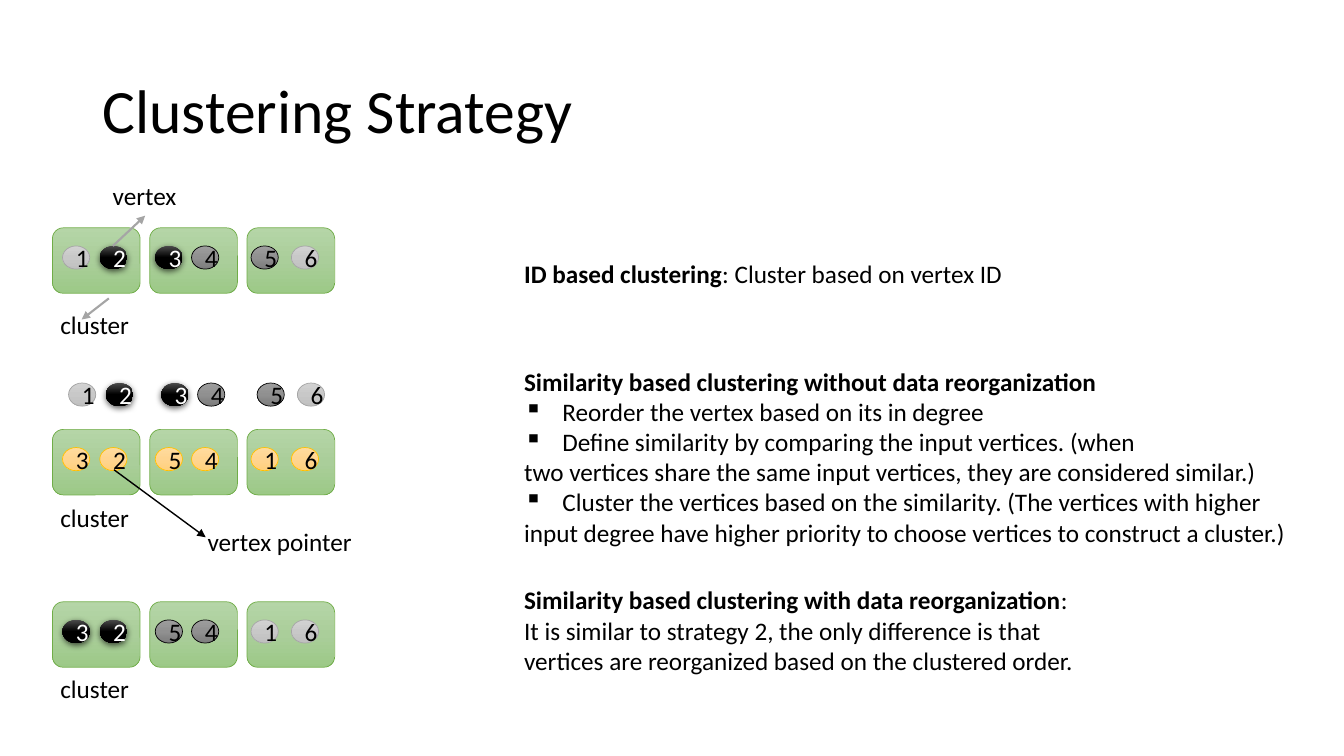
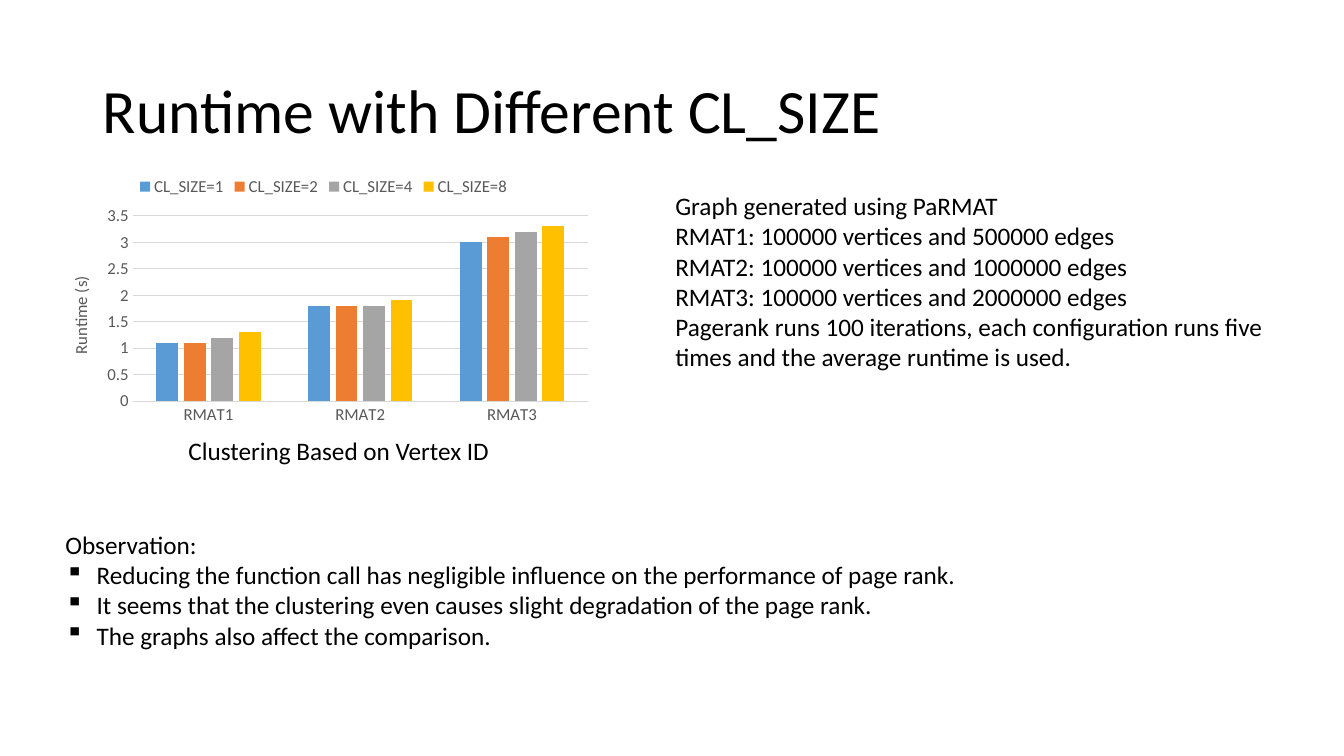
from copy import deepcopy

from lxml import etree
from pptx import Presentation
from pptx.chart.data import CategoryChartData
from pptx.dml.color import RGBColor
from pptx.enum.chart import XL_CHART_TYPE, XL_LEGEND_POSITION, XL_TICK_MARK
from pptx.enum.shapes import MSO_CONNECTOR, MSO_SHAPE
from pptx.enum.text import MSO_ANCHOR, MSO_AUTO_SIZE, PP_ALIGN
from pptx.oxml.ns import qn
from pptx.util import Inches, Pt

COLUMN_CHART = XL_CHART_TYPE.COLUMN_CLUSTERED
LEGEND_TOP = XL_LEGEND_POSITION.TOP
NO_TICK = XL_TICK_MARK.NONE
STRAIGHT = MSO_CONNECTOR.STRAIGHT
OVAL = MSO_SHAPE.OVAL
ROUNDED = MSO_SHAPE.ROUNDED_RECTANGLE
MIDDLE = MSO_ANCHOR.MIDDLE
FIT_TEXT = MSO_AUTO_SIZE.SHAPE_TO_FIT_TEXT
CENTER = PP_ALIGN.CENTER

FONT = "Calibri"
BODY_SIZE = 18
CHART_SIZE = 12
CELL = Inches(0.1)
BULLET = "▪"

COLORS = {
    "black": "000000",
    "white": "FFFFFF",
    "gray": "A5A5A5",
    "chart_text": "595959",
    "grid": "D9D9D9",
    "green": "70AD47",
    "gold": "FFC000",
    "blue": "5B9BD5",
    "orange": "ED7D31",
}
GRADIENTS = {
    "cluster": ("B5D5A7", "AACE9A", "9CC987"),
    "light": ("D2D2D2", "C8C8C8", "C0C0C0"),
    "medium": ("9D9D9D", "909090", "7C7C7C"),
    "dark": ("4B4B4B", "000000", "000000"),
    "pointer": ("FFDB9E", "FFD590", "FFD07C"),
}
OUTLINES = {"cluster": "green", "light": "gray", "medium": "black", "dark": None, "pointer": "gold"}
VERTEX_STYLES = {"1": "light", "2": "dark", "3": "dark", "4": "medium", "5": "medium", "6": "light"}

CLUSTER_COLUMNS = [5.2 + 9.65 * index for index in range(3)]
VERTEX_COLUMNS = (6.2, 9.9, 15.4, 19, 24.9, 28.9)
TEXT_COLUMN = 51


def color(name):
    """Return the named colour."""
    return RGBColor.from_string(COLORS[name])


def grid(*cells):
    """Turn grid columns and rows into slide lengths."""
    return [int(cell * CELL) for cell in cells]


def set_font(font, size=BODY_SIZE, color_name="black"):
    """Apply the shared typeface with a size and colour."""
    font.name = FONT
    font.size = Pt(size)
    font.color.rgb = color(color_name)


def add_bullet(paragraph, indent):
    """Give a paragraph a square bullet with a hanging indent."""
    properties = paragraph._p.get_or_add_pPr()
    properties.set("marL", str(Inches(indent)))
    properties.set("indent", str(-Inches(indent)))
    etree.SubElement(properties, qn("a:buChar"), char=BULLET)


def add_text(slide, box, lines, indent=0.38):
    """Add lines of text; a pair is bold then plain, and a leading square is a bullet."""
    frame = slide.shapes.add_textbox(*grid(*box)).text_frame
    frame.word_wrap = False
    frame.auto_size = FIT_TEXT
    for index, line in enumerate(lines):
        paragraph = frame.paragraphs[0] if index == 0 else frame.add_paragraph()
        bold, plain = line if isinstance(line, tuple) else ("", line)
        if plain.startswith(BULLET):
            add_bullet(paragraph, indent)
            plain = plain.removeprefix(BULLET)
        set_font(paragraph.font)
        if bold:
            run = paragraph.add_run()
            run.text = bold
            run.font.bold = True
        if plain:
            paragraph.add_run().text = plain


def add_title_slide(presentation, title):
    """Add a blank slide with the shared title style."""
    slide = presentation.slides.add_slide(presentation.slide_layouts[6])
    frame = slide.shapes.add_textbox(*grid(9.2, 4, 115, 14.5)).text_frame
    frame.word_wrap = True
    frame.vertical_anchor = MIDDLE
    paragraph = frame.paragraphs[0]
    paragraph.text = title
    paragraph.line_spacing = 0.9
    set_font(paragraph.font, 44)
    return slide


def add_shadow(shape):
    """Add a soft shadow below a shape."""
    effects = shape._element.spPr.find(qn("a:effectLst"))
    shadow = etree.SubElement(
        effects, qn("a:outerShdw"), blurRad=str(Pt(4.5)), dist=str(Pt(1.5)),
        dir="5400000", algn="ctr", rotWithShape="0")
    shade = etree.SubElement(shadow, qn("a:srgbClr"), val=COLORS["black"])
    etree.SubElement(shade, qn("a:alpha"), val="63000")


def add_gradient_shape(slide, kind, box, style):
    """Add a shape with a three-stop vertical gradient and a thin outline."""
    shape = slide.shapes.add_shape(kind, *grid(*box))
    shape.shadow.inherit = False
    shape.fill.gradient()
    shape.fill.gradient_angle = 270
    stops = shape._element.spPr.find(qn("a:gradFill")).find(qn("a:gsLst"))
    stops.insert(1, deepcopy(stops[0]))
    for index, (stop, value) in enumerate(zip(shape.fill.gradient_stops, GRADIENTS[style])):
        stop.position = index / 2
        stop.color.rgb = RGBColor.from_string(value)
    outline = OUTLINES[style]
    if outline:
        shape.line.color.rgb = color(outline)
        shape.line.width = Pt(0.5)
    else:
        shape.line.fill.background()
        add_shadow(shape)
    return shape


def add_clusters(slide, row):
    """Add a row of three cluster boxes."""
    for column in CLUSTER_COLUMNS:
        add_gradient_shape(slide, ROUNDED, (column, row, 8.7, 6.5), "cluster")


def add_vertices(slide, row, order, style=None, shift=0):
    """Add a row of numbered vertices, each in its own style unless one is given."""
    for column, number in zip(VERTEX_COLUMNS, order):
        vertex_style = style or VERTEX_STYLES[number]
        shape = add_gradient_shape(slide, OVAL, (column + shift, row, 2.7, 2.3), vertex_style)
        paragraph = shape.text_frame.paragraphs[0]
        paragraph.text = number
        paragraph.alignment = CENTER
        set_font(paragraph.font, color_name="white" if vertex_style == "dark" else "black")


def add_arrow(slide, ends, color_name, width):
    """Add a straight arrow between two grid points."""
    arrow = slide.shapes.add_connector(STRAIGHT, *grid(*ends))
    arrow.line.color.rgb = color(color_name)
    arrow.line.width = Pt(width)
    etree.SubElement(arrow.line._get_or_add_ln(), qn("a:tailEnd"), type="triangle")
    etree.SubElement(arrow._element.spPr, qn("a:effectLst"))


def add_runtime_chart(slide, box, categories, series):
    """Add the clustered column chart of runtimes."""
    data = CategoryChartData()
    data.categories = categories
    for name, _, values in series:
        data.add_series(name, values)
    chart = slide.shapes.add_chart(COLUMN_CHART, *grid(*box), data).chart
    set_font(chart.font, CHART_SIZE)
    chart.has_title = False
    chart.has_legend = True
    chart.legend.position = LEGEND_TOP
    chart.legend.include_in_layout = False
    set_font(chart.legend.font, CHART_SIZE, "chart_text")

    plot = chart.plots[0]
    plot.gap_width = 219
    plot.overlap = -27
    plot.vary_by_categories = False
    for column_series, (_, color_name, _) in zip(plot.series, series):
        column_series.format.fill.solid()
        column_series.format.fill.fore_color.rgb = color(color_name)

    for axis in (chart.category_axis, chart.value_axis):
        axis.major_tick_mark = NO_TICK
        axis.minor_tick_mark = NO_TICK
        set_font(axis.tick_labels.font, CHART_SIZE, "chart_text")
    value_axis = chart.value_axis
    value_axis.minimum_scale = 0
    value_axis.maximum_scale = 3.5
    value_axis.major_unit = 0.5
    value_axis.format.line.fill.background()
    for line in (chart.category_axis.format.line, value_axis.major_gridlines.format.line):
        line.color.rgb = color("grid")
        line.width = Pt(0.75)
    paragraph = value_axis.axis_title.text_frame.paragraphs[0]
    paragraph.text = "Runtime (s)"
    set_font(paragraph.font, CHART_SIZE, "chart_text")
    paragraph.font.bold = False


def build_strategy_slide(presentation):
    """Build the slide that compares three clustering strategies."""
    slide = add_title_slide(presentation, "Clustering Strategy")
    for row, order, style in ((22.6, "123456", None), (42.6, "325416", "pointer"), (59.7, "325416", None)):
        add_clusters(slide, row)
        add_vertices(slide, row + 1.8, order, style)
    add_vertices(slide, 38, "123456", shift=0.6)

    for row in (30.2, 49.3, 66.3):
        add_text(slide, (5, row, 8.9, 4), ["cluster"])
    add_text(slide, (10.2, 17.4, 8.4, 4), ["vertex"])
    add_text(slide, (19.6, 51.7, 16.5, 4), ["vertex pointer"])
    add_arrow(slide, (11.2, 24.4, 14.4, 21.4), "gray", 1.5)
    add_arrow(slide, (10.8, 29.6, 8.1, 31.7), "gray", 1.5)
    add_arrow(slide, (11.3, 46.6, 20.4, 53.3), "black", 1)

    add_text(slide, (TEXT_COLUMN, 25.1, 49.9, 4), [
        ("ID based clustering", ": Cluster based on vertex ID"),
    ])
    add_text(slide, (TEXT_COLUMN, 35.8, 78.4, 19.2), [
        ("Similarity based clustering without data reorganization", ""),
        "▪Reorder the vertex based on its in degree",
        "▪Define similarity by comparing the input vertices. (when",
        "two vertices share the same input vertices, they are considered similar.)",
        "▪Cluster the vertices based on the similarity. (The vertices with higher",
        "input degree have higher priority to choose vertices to construct a cluster.)",
    ])
    add_text(slide, (TEXT_COLUMN, 57.5, 57.7, 10.1), [
        ("Similarity based clustering with data reorganization", ":"),
        "It is similar to strategy 2, the only difference is that",
        "vertices are reorganized based on the clustered order.",
    ])


def build_runtime_slide(presentation):
    """Build the slide that charts runtime by cluster size."""
    slide = add_title_slide(presentation, "Runtime with Different CL_SIZE")
    add_text(slide, (5.5, 52, 92.1, 13.1), [
        "Observation:",
        "▪Reducing the function call has negligible influence on the performance of page rank.",
        "▪It seems that the clustering even causes slight degradation of the page rank.",
        "▪The graphs also affect the comparison.",
    ], indent=0.31)
    add_text(slide, (17.7, 42.7, 32.2, 4), ["Clustering Based on Vertex ID"])
    add_text(slide, (66, 18.4, 61.6, 19.2), [
        "Graph generated using PaRMAT",
        "RMAT1: 100000 vertices and 500000 edges",
        "RMAT2: 100000 vertices and 1000000 edges",
        "RMAT3: 100000 vertices and 2000000 edges",
        "Pagerank runs 100 iterations, each configuration runs five",
        "times and the average runtime is used.",
    ])
    add_runtime_chart(slide, (4.8, 16.4, 54.6, 26.3), ("RMAT1", "RMAT2", "RMAT3"), (
        ("CL_SIZE=1", "blue", (1.1, 1.8, 3)),
        ("CL_SIZE=2", "orange", (1.1, 1.8, 3.1)),
        ("CL_SIZE=4", "gray", (1.2, 1.8, 3.2)),
        ("CL_SIZE=8", "gold", (1.3, 1.9, 3.3)),
    ))


def main():
    """Build and save the presentation."""
    presentation = Presentation()
    presentation.slide_width = Inches(13.33)
    presentation.slide_height = Inches(7.5)
    build_strategy_slide(presentation)
    build_runtime_slide(presentation)
    presentation.save("out.pptx")


if __name__ == "__main__":
    main()
